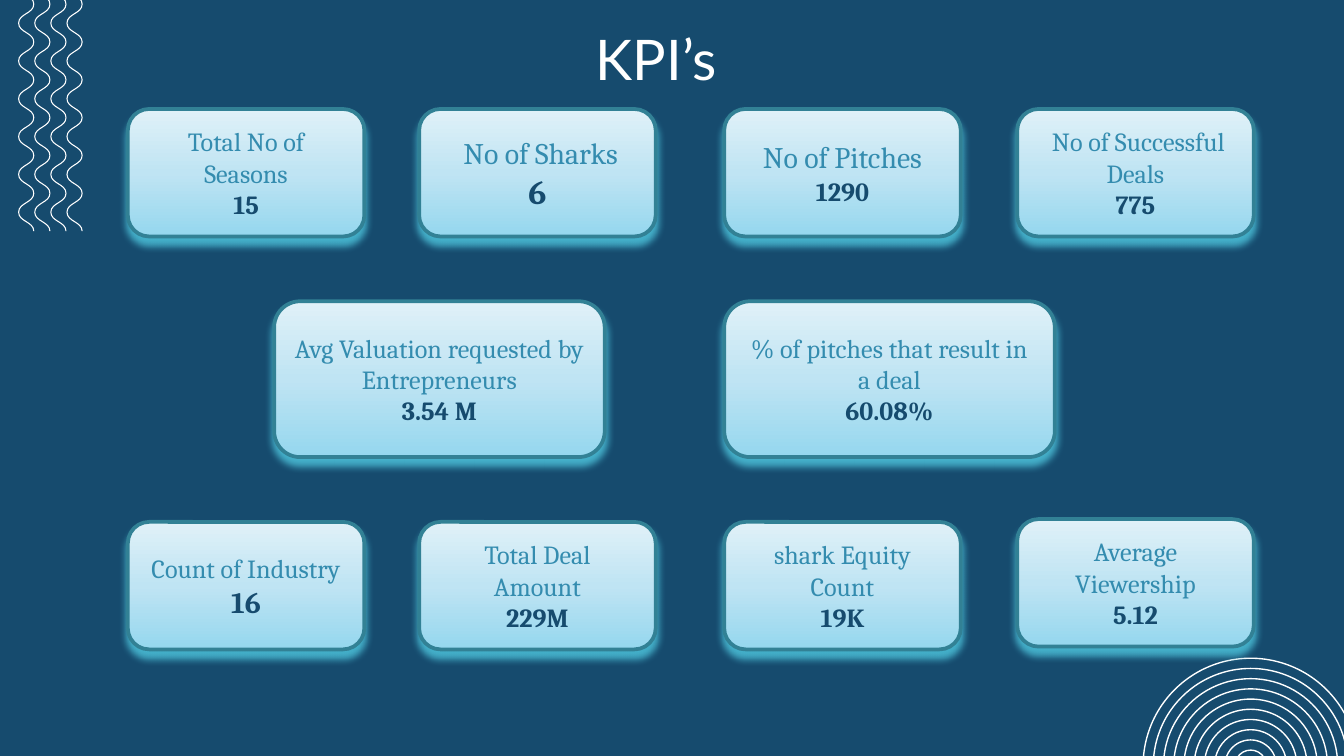
from copy import deepcopy
from dataclasses import dataclass

from lxml import etree
from pptx import Presentation
from pptx.dml.color import RGBColor
from pptx.enum.shapes import MSO_SHAPE
from pptx.enum.text import MSO_ANCHOR, PP_ALIGN
from pptx.oxml.ns import qn
from pptx.util import Pt

ARC, CARD = MSO_SHAPE.ARC, MSO_SHAPE.ROUNDED_RECTANGLE
CENTER = PP_ALIGN.CENTER
TOP, MIDDLE = MSO_ANCHOR.TOP, MSO_ANCHOR.MIDDLE


@dataclass(frozen=True)
class Theme:
    background: str = "164B6E"
    white: str = "FFFFFF"
    label: str = "348CAF"
    value: str = "164B6E"
    border: str = "328195"
    glow: str = "44AFC9"
    gradient: tuple = ("95D7EE", "BFE4F3", "E0F1F8")
    title_font: str = "Lato"
    card_font: str = "Cambria"
    title_size: int = 30
    text_size: int = 14
    large_size: int = 16
    largest_size: int = 18


THEME = Theme()
NORMAL, LARGE, LARGEST = THEME.text_size, THEME.large_size, THEME.largest_size

TITLE = "KPI’s"
# label, label size, value, value size
TOP_KPIS = [
    ("Total No of Seasons", NORMAL, "15", NORMAL),
    (" No of Sharks", LARGE, "6", LARGEST),
    ("No of Pitches", LARGE, "1290", NORMAL),
    (" No of Successful Deals", NORMAL, "775", NORMAL),
]
MIDDLE_KPIS = [
    ("Avg Valuation requested by Entrepreneurs", NORMAL, "3.54 M", NORMAL),
    ("% of pitches that result in a deal", NORMAL, "60.08%", NORMAL),
]
BOTTOM_KPIS = [
    ("Count of Industry", NORMAL, "16", LARGE),
    ("Total Deal Amount", NORMAL, "229M", NORMAL),
    ("shark Equity Count", NORMAL, "19K", NORMAL),
    ("Average Viewership", NORMAL, "5.12", NORMAL),
]

COLUMNS = [68.5, 224.6, 388, 545]
WIDE_COLUMNS = [146.9, 388]
SMALL_CARD, WIDE_CARD = (126.7, 68.3), (177.1, 83.5)
LAST_CARD_LIFT = 1.5
# cards, lefts, tops, card size
ROWS = [
    (TOP_KPIS, COLUMNS, [58.4] * 4, SMALL_CARD),
    (MIDDLE_KPIS, WIDE_COLUMNS, [161.4] * 2, WIDE_CARD),
    (BOTTOM_KPIS, COLUMNS, [279.6] * 3 + [279.6 - LAST_CARD_LIFT], SMALL_CARD),
]

ARC_CENTER, ARC_COUNT, ARC_OUTER, ARC_STEP = (670, 410.2), 10, 115.2, 10.94
WAVE_LEFT, WAVE_GAP, WAVE_COUNT, WAVE_WIDTH = 10, 8.64, 4, 8.1
WAVE_TOP, WAVE_STEP, WAVE_BENDS = -18, 10.13, 14


def color(value):
    return RGBColor.from_string(value)


def set_line(shape, value, width):
    shape.line.color.rgb = color(value)
    shape.line.width = Pt(width)


def write(paragraph, text, *, font, size, ink, bold=False):
    paragraph.alignment = CENTER
    run = paragraph.add_run()
    run.text = text
    run.font.name = font
    run.font.size = Pt(size)
    run.font.bold = bold
    run.font.color.rgb = color(ink)


def add_arcs(slide):
    """Concentric upper half circles in the lower right corner."""
    for index in range(ARC_COUNT):
        size = ARC_OUTER - index * ARC_STEP
        left, top = (middle - size / 2 for middle in ARC_CENTER)
        arc = slide.shapes.add_shape(ARC, Pt(left), Pt(top), Pt(size), Pt(size))
        arc.adjustments[0], arc.adjustments[1] = 162, 54
        arc.rotation = 270
        arc.shadow.inherit = False
        arc.fill.background()
        set_line(arc, THEME.white, 0.75)


def curve_segments(shape):
    """Turn the straight segments of a zigzag into S-shaped Bezier curves."""
    path = next(shape.element.iter(qn("a:path")))
    points = [(int(point.get("x")), int(point.get("y")))
              for point in path.iter(qn("a:pt"))]
    for segment, start, end in zip(path.findall(qn("a:lnTo")), points, points[1:]):
        halfway = (start[1] + end[1]) // 2
        curve = etree.Element(qn("a:cubicBezTo"))
        for x, y in ((start[0], halfway), (end[0], halfway), end):
            etree.SubElement(curve, qn("a:pt"), x=str(x), y=str(y))
        path.replace(segment, curve)


def add_waves(slide):
    for index in range(WAVE_COUNT):
        left = WAVE_LEFT + index * WAVE_GAP
        points = [(Pt(left + WAVE_WIDTH * (bend % 2 == 0)),
                   Pt(WAVE_TOP + bend * WAVE_STEP))
                  for bend in range(WAVE_BENDS + 1)]
        builder = slide.shapes.build_freeform(*points[0])
        builder.add_line_segments(points[1:], close=False)
        wave = builder.convert_to_shape()
        curve_segments(wave)
        wave.shadow.inherit = False
        wave.fill.background()
        set_line(wave, THEME.white, 0.58)


def add_title(slide):
    title = slide.shapes.title
    title.left, title.top, title.width, title.height = (
        Pt(48.2), Pt(5.8), Pt(607), Pt(45.4))
    frame = title.text_frame
    frame.vertical_anchor = TOP
    frame.margin_left = frame.margin_right = Pt(7.2)
    frame.margin_top = frame.margin_bottom = Pt(7.2)
    write(frame.paragraphs[0], TITLE, font=THEME.title_font,
          size=THEME.title_size, ink=THEME.white)


def fill_gradient(shape):
    shape.fill.gradient()
    shape.fill.gradient_angle = 90
    first = next(shape.element.iter(qn("a:gs")))
    first.addnext(deepcopy(first))
    for index, stop in enumerate(shape.fill.gradient_stops):
        stop.position = index / 2
        stop.color.rgb = color(THEME.gradient[index])


def add_glow(shape):
    shape.shadow.inherit = False
    effects = next(shape.element.iter(qn("a:effectLst")))
    shadow = etree.SubElement(
        effects, qn("a:outerShdw"), blurRad=str(Pt(4)), dist=str(Pt(4)),
        dir="5400000", algn="t", rotWithShape="0")
    etree.SubElement(shadow, qn("a:srgbClr"), val=THEME.glow)


def add_card(slide, kpi, left, top, size):
    label, label_size, value, value_size = kpi
    card = slide.shapes.add_shape(CARD, Pt(left), Pt(top), *map(Pt, size))
    fill_gradient(card)
    set_line(card, THEME.border, 2)
    add_glow(card)
    frame = card.text_frame
    frame.word_wrap = True
    frame.vertical_anchor = MIDDLE
    write(frame.paragraphs[0], label, font=THEME.card_font,
          size=label_size, ink=THEME.label)
    write(frame.add_paragraph(), value, font=THEME.card_font,
          size=value_size, ink=THEME.value, bold=True)


def main():
    presentation = Presentation()
    presentation.slide_width, presentation.slide_height = Pt(720), Pt(405)
    slide = presentation.slides.add_slide(presentation.slide_layouts[5])
    slide.background.fill.solid()
    slide.background.fill.fore_color.rgb = color(THEME.background)
    add_arcs(slide)
    add_waves(slide)
    add_title(slide)
    for kpis, lefts, tops, size in ROWS:
        for kpi, left, top in zip(kpis, lefts, tops):
            add_card(slide, kpi, left, top, size)
    presentation.save("out.pptx")


if __name__ == "__main__":
    main()
